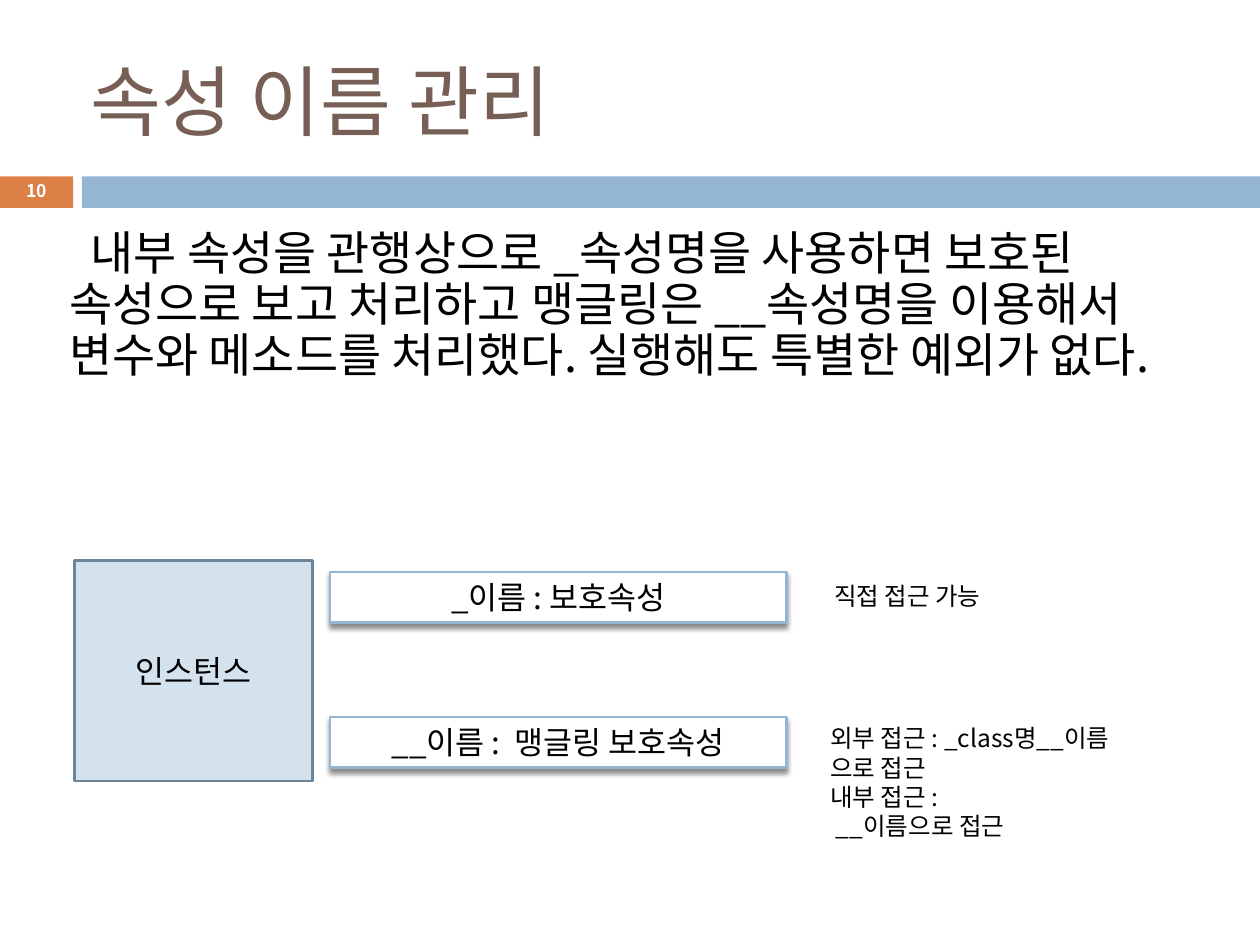
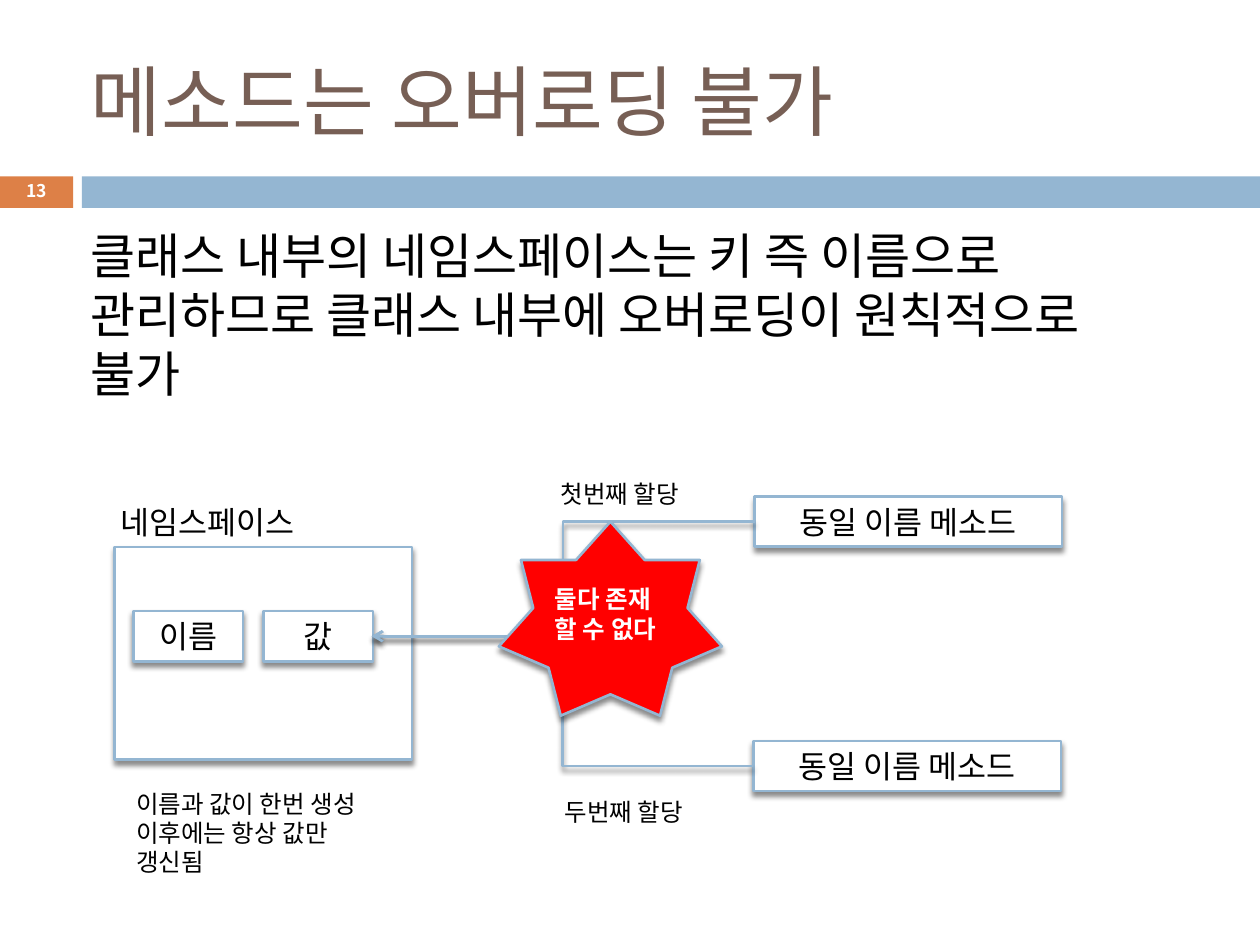
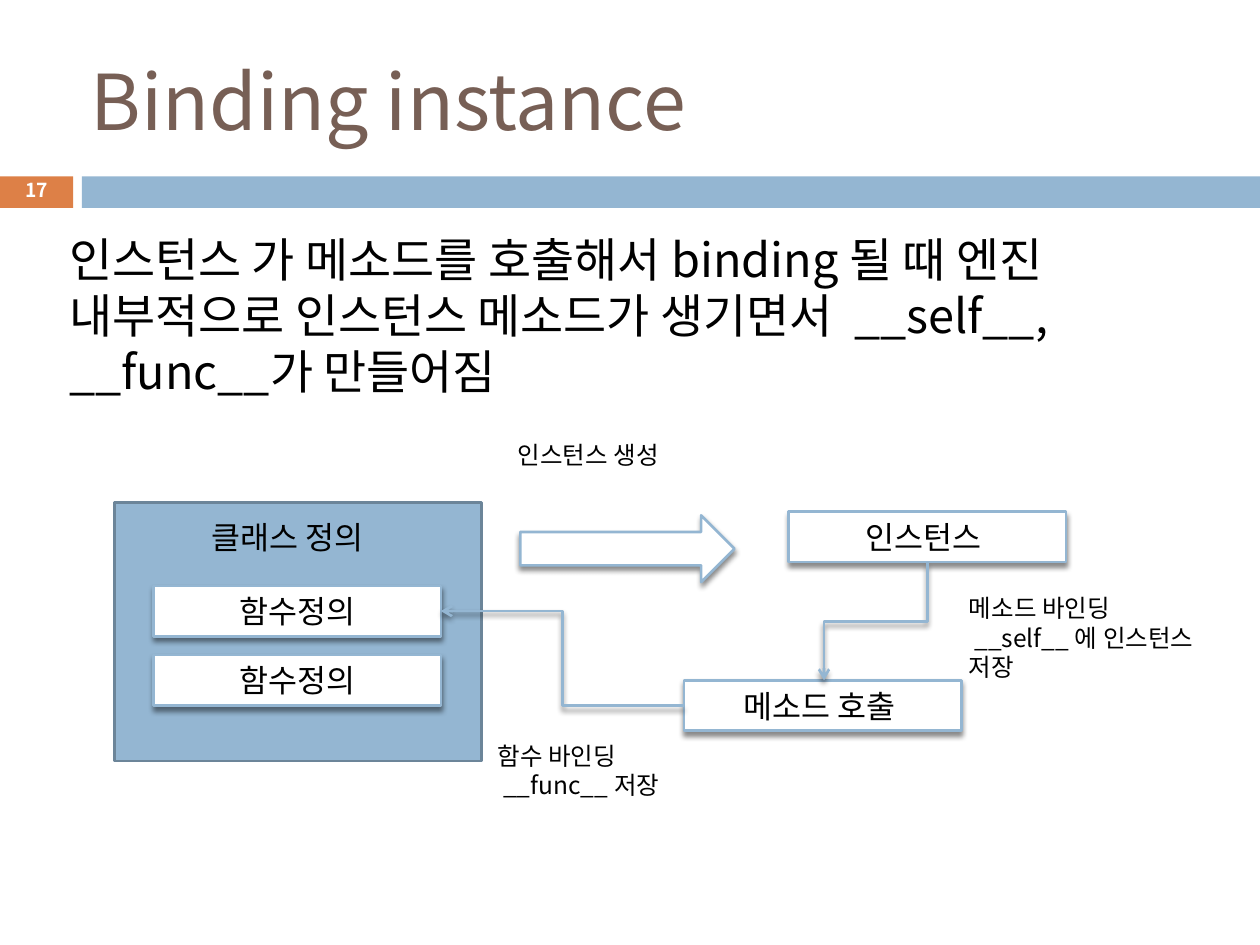
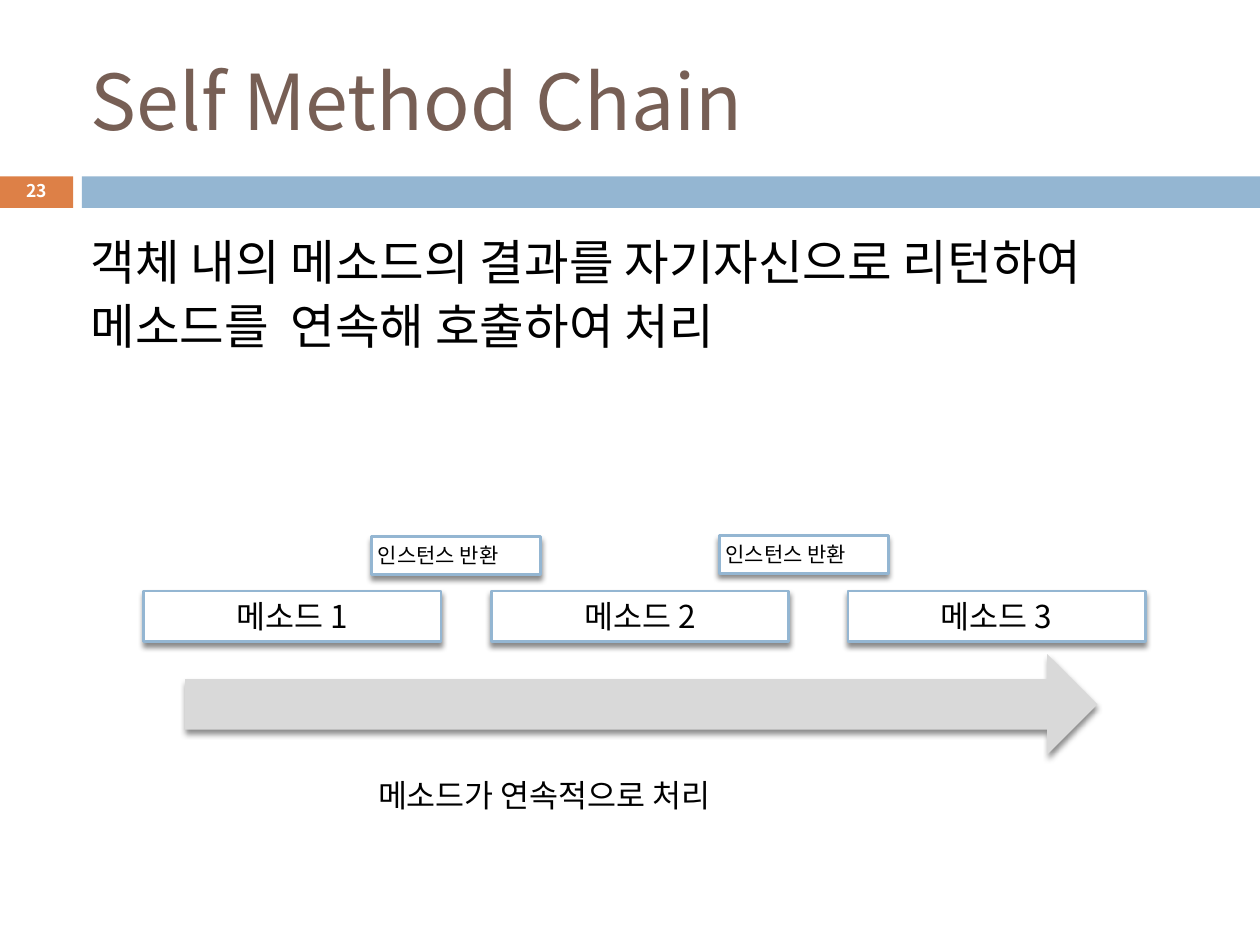
from lxml import etree
from pptx import Presentation
from pptx.dml.color import RGBColor
from pptx.enum.shapes import MSO_CONNECTOR, MSO_SHAPE
from pptx.enum.text import MSO_ANCHOR, PP_ALIGN
from pptx.oxml.ns import qn
from pptx.util import Inches, Pt

BLUE = RGBColor(0x94, 0xB6, 0xD2)
DARK_BLUE = RGBColor(0x6C, 0x85, 0x99)
PALE_BLUE = RGBColor(0xD4, 0xE2, 0xED)
ORANGE = RGBColor(0xDD, 0x80, 0x47)
BROWN = RGBColor(0x77, 0x5F, 0x55)
GRAY = RGBColor(0xD9, 0xD9, 0xD9)
RED = RGBColor(0xFF, 0, 0)
WHITE = RGBColor(0xFF, 0xFF, 0xFF)
BLACK = RGBColor(0, 0, 0)

SANS = "Noto Sans CJK KR"
MONO = "Noto Sans Mono"
RECT = MSO_SHAPE.RECTANGLE
ARROW = MSO_SHAPE.RIGHT_ARROW
STAR = MSO_SHAPE.STAR_7_POINT
ELBOW = MSO_CONNECTOR.ELBOW
LEFT, CENTER = PP_ALIGN.LEFT, PP_ALIGN.CENTER
TOP, MIDDLE = MSO_ANCHOR.TOP, MSO_ANCHOR.MIDDLE

MARGIN = Inches(0.05)
BOX_H = 0.4


def write(sp, text, size=18, color=BLACK, font=SANS, bold=False, align=LEFT,
          anchor=TOP, spacing=None, before=0, indent=0):
    tf = sp.text_frame
    tf.word_wrap = True
    tf.vertical_anchor = anchor
    tf.margin_left = tf.margin_right = tf.margin_top = tf.margin_bottom = MARGIN
    for i, line in enumerate(text.split("\n")):
        p = tf.add_paragraph() if i else tf.paragraphs[0]
        p.alignment = align
        p.space_before = Pt(before)
        if spacing:
            p.line_spacing = spacing
        if indent:
            p._p.get_or_add_pPr().set("indent", str(Inches(indent)))
        r = p.add_run()
        r.text = line
        r.font.size = Pt(size)
        r.font.bold = bold
        r.font.color.rgb = color
        r.font.name = font
        etree.SubElement(r._r.get_or_add_rPr(), qn("a:ea")).set("typeface", SANS)


def add_text(s, x, y, w, h, text, size=14, **style):
    sp = s.shapes.add_textbox(Inches(x), Inches(y), Inches(w), Inches(h))
    write(sp, text, size, **style)


def add_shadow(spPr):
    effects = etree.SubElement(spPr, qn("a:effectLst"))
    shadow = etree.SubElement(effects, qn("a:outerShdw"), blurRad=str(Pt(3)),
                              dist=str(Pt(2.4)), dir="5400000", rotWithShape="0")
    color = etree.SubElement(shadow, qn("a:srgbClr"), val=str(BLACK))
    etree.SubElement(color, qn("a:alpha"), val="45000")


def add_shape(s, kind, x, y, w, h, fill=WHITE, line=BLUE, shadow=True):
    sp = s.shapes.add_shape(kind, Inches(x), Inches(y), Inches(w), Inches(h))
    sp.fill.solid()
    sp.fill.fore_color.rgb = fill
    if line is None:
        sp.line.fill.background()
    else:
        sp.line.color.rgb = line
        sp.line.width = Pt(1.5)
    if shadow:
        add_shadow(sp._element.spPr)
    else:
        sp.shadow.inherit = False
    return sp


def add_box(s, x, y, w, text, h=BOX_H, size=18, align=CENTER, font=SANS):
    sp = add_shape(s, RECT, x, y, w, h)
    write(sp, text, size, font=font, align=align, anchor=MIDDLE)


def add_elbow(s, x1, y1, x2, y2, downward=False):
    if downward:
        cx, cy = (x1 + x2) / 2, (y1 + y2) / 2
        half_w, half_h = (y2 - y1) / 2, (x1 - x2) / 2
        x1, y1, x2, y2 = cx - half_w, cy - half_h, cx + half_w, cy + half_h
    c = s.shapes.add_connector(ELBOW, Inches(x1), Inches(y1), Inches(x2), Inches(y2))
    spPr = c._element.spPr
    if downward:
        spPr.find(qn("a:xfrm")).set("rot", "5400000")
    c.line.color.rgb = BLUE
    c.line.width = Pt(1.5)
    etree.SubElement(c.line._get_or_add_ln(), qn("a:tailEnd"), type="arrow")
    add_shadow(spPr)


def add_slide(prs, title, number, number_size=10):
    s = prs.slides.add_slide(prs.slide_layouts[6])
    add_shape(s, RECT, 0, 1.4, 0.58, 0.25, ORANGE, None, False)
    add_shape(s, RECT, 0.65, 1.4, 9.35, 0.25, BLUE, None, False)
    add_text(s, 0.67, 0.25, 8.92, 1.08, title, 44, color=BROWN, anchor=MIDDLE)
    add_text(s, 0.09, 1.39, 0.4, 0.27, str(number), number_size, color=WHITE,
             bold=True, align=CENTER, anchor=MIDDLE, spacing=0.8)
    return s


def attribute_names(prs):
    s = add_slide(prs, "속성 이름 관리", 10)
    add_text(s, 0.5, 1.78, 8.85, 1.81,
             "내부 속성을 관행상으로 _속성명을 사용하면 보호된 속성으로 보고 처리하고 "
             "맹글링은 __속성명을 이용해서 변수와 메소드를 처리했다. "
             "실행해도 특별한 예외가 없다.",
             26.8, spacing=0.9, before=7, indent=0.17)
    for y, text in ((4.54, "_이름 : 보호속성"), (5.69, "__이름 :  맹글링 보호속성")):
        add_box(s, 2.62, y, 3.62, text)
    instance = add_shape(s, RECT, 0.59, 4.45, 1.89, 1.75, PALE_BLUE, DARK_BLUE, False)
    write(instance, "인스턴스", align=CENTER, anchor=MIDDLE)
    add_text(s, 6.57, 4.56, 2.36, 0.34, "직접 접근 가능")
    add_text(s, 6.54, 5.69, 2.64, 1.04,
             "외부 접근 : _class명__이름 으로 접근\n내부 접근 :\n __이름으로 접근")


def no_overloading(prs):
    s = add_slide(prs, "메소드는 오버로딩 불가", 13)
    add_text(s, 0.67, 1.74, 8.74, 1.51,
             "클래스 내부의 네임스페이스는 키 즉 이름으로 관리하므로 "
             "클래스 내부에 오버로딩이 원칙적으로 불가", 28)
    for x, y in ((5.99, 3.94), (5.98, 5.88)):
        add_box(s, x, y, 2.44, "동일 이름 메소드")
    add_shape(s, RECT, 0.91, 4.34, 2.36, 1.69)
    add_text(s, 0.91, 3.94, 1.73, BOX_H, "네임스페이스", 18)
    for x, text in ((1.06, "이름"), (2.09, "값")):
        add_box(s, x, 4.85, 0.87, text)
    for x, y in ((5.99, 4.14), (5.98, 6.08)):
        add_elbow(s, x, y, 2.95, 5.05)
    add_text(s, 4.4, 3.75, 1.42, 0.34, "첫번째 할당")
    add_text(s, 4.43, 6.28, 1.42, 0.34, "두번째 할당")
    star = add_shape(s, STAR, 3.96, 4.14, 1.77, 1.54, RED)
    write(star, "둘다 존재 할 수 없다", 14, WHITE, bold=True, anchor=MIDDLE)
    add_text(s, 1.03, 6.21, 2.15, 0.81, "이름과 값이 한번 생성 이후에는 항상 값만 갱신됨")


def binding_instance(prs):
    s = add_slide(prs, "Binding instance", 17, 11)
    add_text(s, 0.5, 1.78, 9, 1.5,
             "인스턴스 가 메소드를 호출해서 binding 될 때 엔진 내부적으로 "
             "인스턴스 메소드가 생기면서  __self__, __func__가 만들어짐",
             26.8, before=7)
    add_shape(s, RECT, 0.91, 3.99, 2.91, 2.05, BLUE, DARK_BLUE, False)
    add_text(s, 1.22, 4.06, 2.13, BOX_H, "클래스 정의", 18, font=MONO, align=CENTER)
    for x, y, w, text in ((1.22, 4.65, 2.28, "함수정의"),
                          (1.22, 5.2, 2.28, "함수정의"),
                          (6.26, 4.06, 2.2, "인스턴스 "),
                          (5.43, 5.4, 2.2, "메소드 호출 ")):
        add_box(s, x, y, w, text, font=MONO)
    add_shape(s, ARROW, 4.13, 4.09, 1.7, 0.53)
    add_text(s, 4.06, 3.44, 1.81, 0.34, "인스턴스 생성")
    add_elbow(s, 7.36, 4.47, 6.54, 5.4, downward=True)
    add_elbow(s, 5.43, 5.6, 3.5, 4.85)
    add_text(s, 3.9, 5.83, 2.05, 0.57, "함수 바인딩\n __func__ 저장")
    add_text(s, 7.64, 4.66, 2.05, 0.81, "메소드 바인딩\n __self__ 에 인스턴스 저장")


def method_chain(prs):
    s = add_slide(prs, "Self Method Chain", 23)
    add_text(s, 0.67, 1.75, 8.92, 1.13,
             "객체 내의 메소드의 결과를 자기자신으로 리턴하여  "
             "메소드를  연속해 호출하여 처리", 27.7, spacing=1.1, before=6)
    for i, x in enumerate((1.14, 3.9, 6.73), 1):
        add_box(s, x, 4.69, 2.36, f"메소드 {i}")
    add_shape(s, ARROW, 1.47, 5.19, 7.24, 0.8, GRAY, None)
    add_text(s, 2.95, 6.11, 4.65, BOX_H, "메소드가 연속적으로 처리", 18)
    for x, y in ((2.95, 4.26), (5.71, 4.25)):
        add_box(s, x, y, 1.34, "인스턴스 반환", 0.3, 12, LEFT)


def main():
    prs = Presentation()
    prs.slide_width = Inches(10)
    prs.slide_height = Inches(7.5)
    attribute_names(prs)
    no_overloading(prs)
    binding_instance(prs)
    method_chain(prs)
    prs.save("out.pptx")


main()
